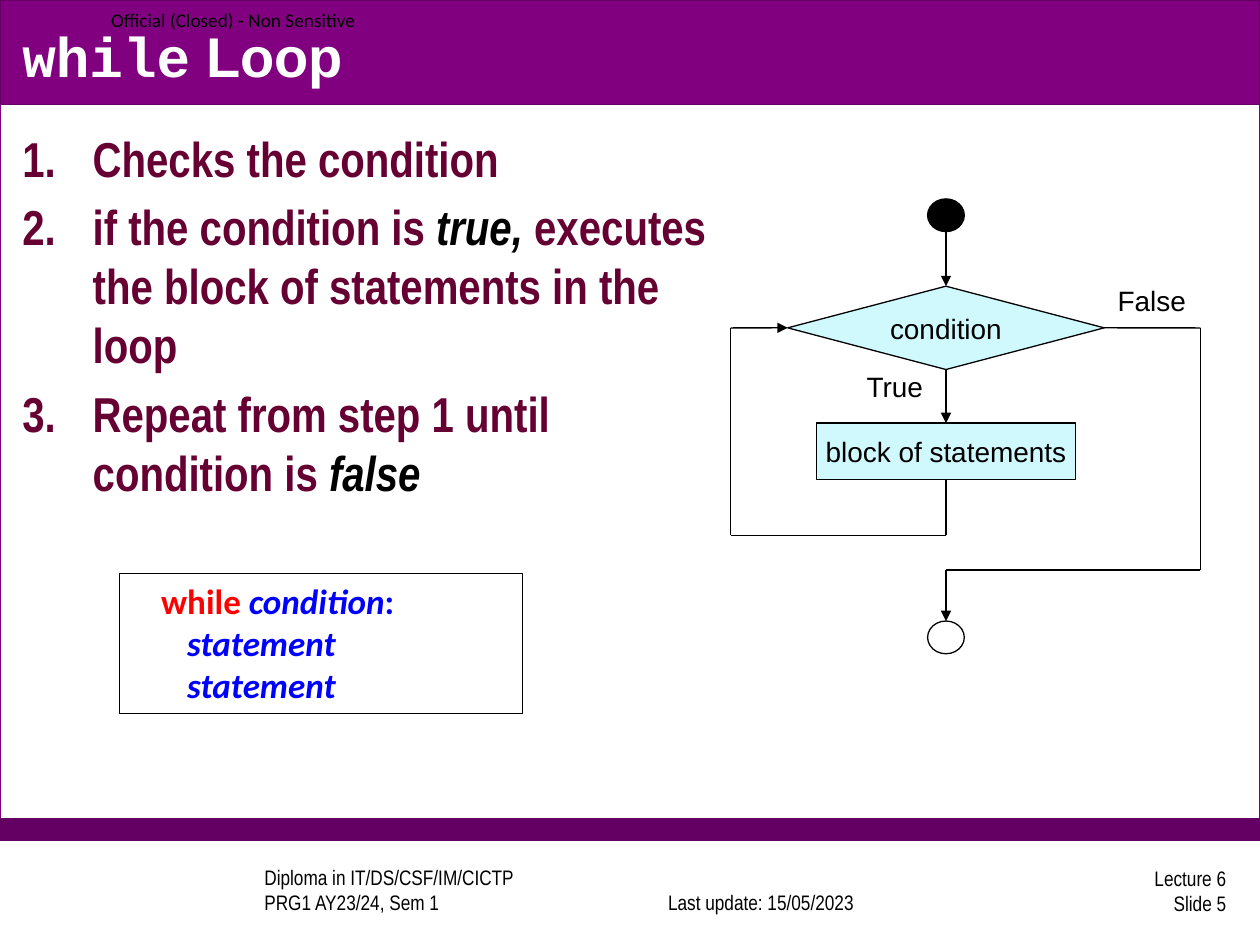
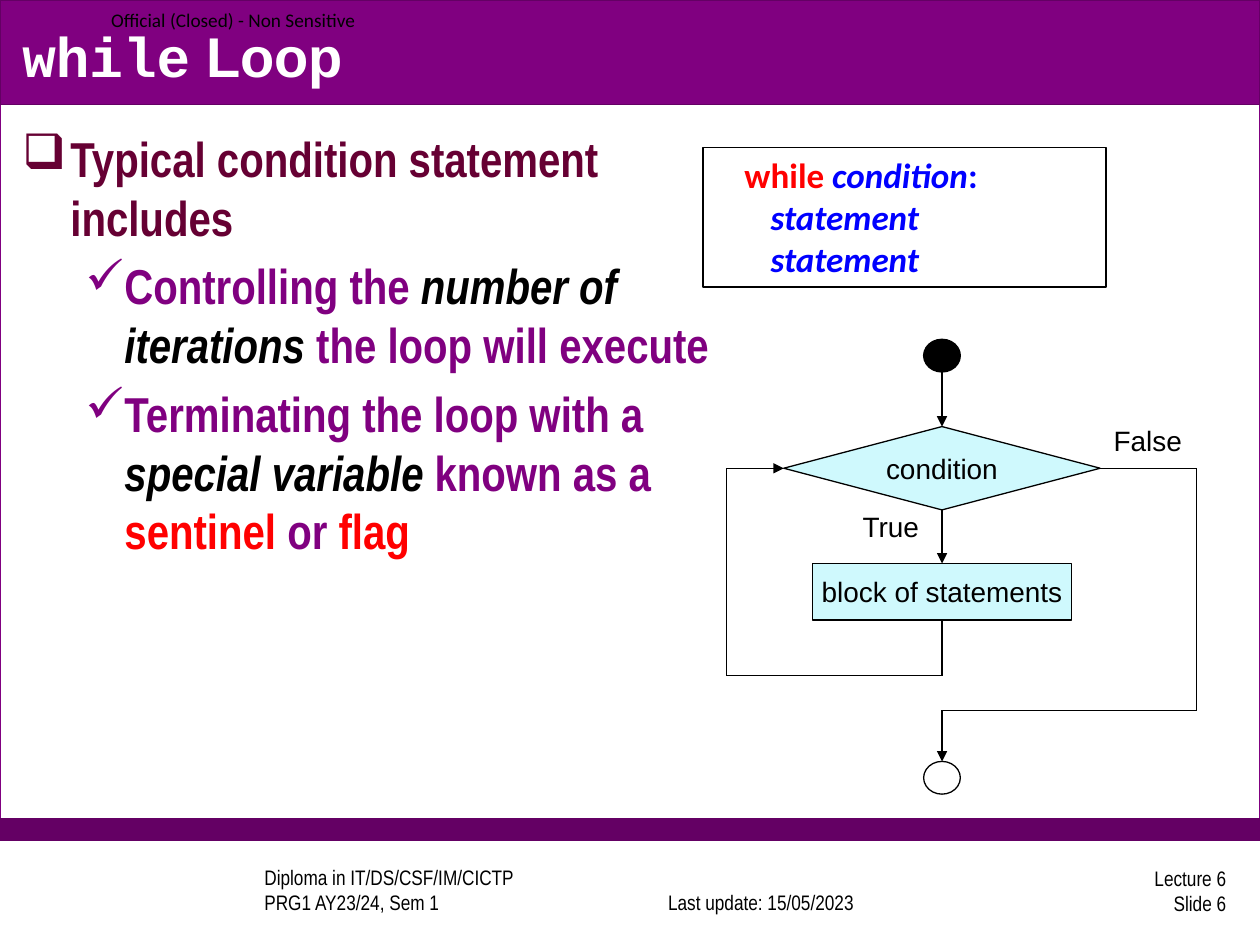
from lxml import etree
from pptx import Presentation
from pptx.dml.color import RGBColor
from pptx.enum.shapes import MSO_CONNECTOR, MSO_SHAPE
from pptx.enum.text import MSO_ANCHOR, PP_ALIGN
from pptx.oxml.ns import qn
from pptx.util import Cm, Pt

RECTANGLE = MSO_SHAPE.RECTANGLE
CIRCLE = MSO_SHAPE.FLOWCHART_CONNECTOR
PROCESS = MSO_SHAPE.FLOWCHART_PROCESS
DECISION = MSO_SHAPE.FLOWCHART_DECISION
STRAIGHT = MSO_CONNECTOR.STRAIGHT
LEFT, CENTER, RIGHT = PP_ALIGN.LEFT, PP_ALIGN.CENTER, PP_ALIGN.RIGHT
TOP, MIDDLE, BOTTOM = MSO_ANCHOR.TOP, MSO_ANCHOR.MIDDLE, MSO_ANCHOR.BOTTOM

BLACK, WHITE, RED, BLUE = "000000", "FFFFFF", "FF0000", "0000FF"
PURPLE, DARK_PURPLE, MAROON, PALE_BLUE = "800080", "640064", "660033", "CFF9FD"

# font, size, colour, bold, italic
STYLES = {
    "title code": ("Courier New", 32, WHITE, True, False),
    "title": ("Arial", 32, WHITE, True, False),
    "marking": ("Calibri", 11, BLACK, False, False),
    "footer": ("Arial Narrow", 12, BLACK, False, False),
    "point": ("Arial Narrow", 28, MAROON, True, False),
    "subpoint": ("Arial Narrow", 28, PURPLE, True, False),
    "emphasis": ("Arial Narrow", 28, BLACK, True, True),
    "alert": ("Arial Narrow", 28, RED, True, False),
    "code indent": ("Arial", 20, RED, False, False),
    "keyword": ("Calibri", 20, RED, True, False),
    "variable": ("Calibri", 20, BLUE, True, True),
    "symbol": ("Calibri", 20, BLUE, True, False),
    "diagram": ("Arial", 16, BLACK, False, False),
}

NUMBER = ("buAutoNum", "type", "arabicPeriod", 1.42, 1.42)
SQUARE = ("buChar", "char", "❑", 0.97, 0.97)
CHECK = ("buChar", "char", "✓", 2.06, 0.79)

CODE = [
    [("   ", "code indent"), ("while ", "keyword"), ("condition", "variable"), (":", "symbol")],
    [("       statement", "variable")],
    [("       statement", "variable")],
]

SLIDES = [
    {
        "number": 5,
        "code at": (2.41, 11.56),
        "diagram offset": (0, 0),
        "body": [
            (NUMBER, [("Checks the condition", "point")]),
            (NUMBER, [("if the condition is ", "point"), ("true, ", "emphasis"),
                      ("executes the block of statements in the loop", "point")]),
            (NUMBER, [("Repeat from step 1 until condition is ", "point"), ("false", "emphasis")]),
        ],
    },
    {
        "number": 6,
        "code at": (14.17, 2.97),
        "diagram offset": (-0.08, 2.83),
        "body": [
            (SQUARE, [("Typical condition statement includes", "point")]),
            (CHECK, [("Controlling the ", "subpoint"), ("number of iterations", "emphasis"),
                     (" the loop will execute", "subpoint")]),
            (CHECK, [("Terminating the loop with a ", "subpoint"), ("special variable", "emphasis"),
                     (" known as a ", "subpoint"), ("sentinel ", "alert"), ("or", "subpoint"),
                     (" flag", "alert")]),
        ],
    },
]

AXIS, LOOP_X, EXIT_X = 19.07, 14.73, 24.2
CONDITION_Y, LOOP_Y, EXIT_Y = 6.61, 10.79, 11.49

NODES = {
    "start": (CIRCLE, 4.01, 0.74, 0.66, BLACK, None),
    "condition": (DECISION, 5.77, 6.38, 1.68, PALE_BLUE, "condition"),
    "block": (PROCESS, 8.53, 5.21, 1.14, PALE_BLUE, "block of statements"),
    "end": (CIRCLE, 12.52, 0.74, 0.66, WHITE, None),
}

# from, to, begin join, end join, arrowhead
LINES = [
    ((AXIS, 4.67), (AXIS, 5.77), None, ("condition", 0), True),
    ((AXIS, 7.45), (AXIS, 8.53), ("condition", 2), ("block", 0), True),
    ((AXIS, 9.67), (AXIS, LOOP_Y), ("block", 2), None, False),
    ((AXIS, LOOP_Y), (LOOP_X, LOOP_Y), None, None, False),
    ((LOOP_X, LOOP_Y), (LOOP_X, CONDITION_Y), None, None, False),
    ((LOOP_X, CONDITION_Y), (15.88, CONDITION_Y), None, ("condition", 1), True),
    ((22.26, CONDITION_Y), (EXIT_X, CONDITION_Y), ("condition", 3), None, False),
    ((EXIT_X, CONDITION_Y), (EXIT_X, EXIT_Y), None, None, False),
    ((EXIT_X, EXIT_Y), (AXIS, EXIT_Y), None, None, False),
    ((AXIS, EXIT_Y), (AXIS, 12.52), None, None, True),
]

LABELS = [("False", 22.28, 5.59), ("True", 17.22, 7.32)]


def add_box(slide, kind, left, top, width, height, fill, line):
    shape = slide.shapes.add_shape(kind, Cm(left), Cm(top), Cm(width), Cm(height))
    shape.shadow.inherit = False
    shape.fill.solid()
    shape.fill.fore_color.rgb = RGBColor.from_string(fill)
    shape.line.color.rgb = RGBColor.from_string(line)
    shape.line.width = Pt(0.75)
    return shape


def write(shape, paragraphs, align=LEFT, anchor=TOP, left=0.25, right=0.25):
    frame = shape.text_frame
    frame.word_wrap = True
    frame.vertical_anchor = anchor
    frame.margin_left, frame.margin_right = Cm(left), Cm(right)
    for index, runs in enumerate(paragraphs):
        paragraph = frame.add_paragraph() if index else frame.paragraphs[0]
        paragraph.alignment = align
        for text, style in runs:
            run = paragraph.add_run()
            run.text = text
            name, size, color, bold, italic = STYLES[style]
            run.font.name, run.font.size = name, Pt(size)
            run.font.bold, run.font.italic = bold, italic
            run.font.color.rgb = RGBColor.from_string(color)


presentation = Presentation()
presentation.slide_width, presentation.slide_height = Cm(25.4), Cm(19.05)

for content in SLIDES:
    slide = presentation.slides.add_slide(presentation.slide_layouts[6])

    add_box(slide, RECTANGLE, 0, 0, 25.4, 16.94, WHITE, PURPLE)
    add_box(slide, RECTANGLE, 0, 16.51, 25.4, 0.43, DARK_PURPLE, DARK_PURPLE)
    add_box(slide, RECTANGLE, 0, 0, 25.4, 2.11, PURPLE, DARK_PURPLE)

    body = [runs for bullet, runs in content["body"]]
    course = [[("Diploma in IT/DS/CSF/IM/CICTP", "footer")], [("PRG1 AY23/24, Sem 1", "footer")]]
    lecture = [[("Lecture 6", "footer")], [(f"Slide {content['number']}", "footer")]]
    texts = [
        ((3.81, 17.5, 8.05, 1.07), course, LEFT, BOTTOM, 1.52),
        ((12.7, 17.5, 5.28, 1.07), [[("Last update: 15/05/2023", "footer")]], CENTER, BOTTOM, 0.25),
        ((19.69, 17.42, 5.28, 1.07), lecture, RIGHT, MIDDLE, 0.25),
        ((0, 0, 7.65, 0.79), [[("Official (Closed) - Non Sensitive", "marking")]], LEFT, MIDDLE, 2.24),
        ((0.2, 0.33, 24.97, 1.57), [[("while", "title code"), (" Loop", "title")]], LEFT, MIDDLE, 0.25),
        ((0.2, 2.46, 14.38, 13.84), body, LEFT, TOP, 0.25),
    ]
    for place, paragraphs, align, anchor, margin in texts:
        text_box = slide.shapes.add_textbox(*[Cm(length) for length in place])
        write(text_box, paragraphs, align, anchor, margin, 0.25 if margin < 2 else 0)

    for index, paragraph in enumerate(text_box.text_frame.paragraphs):
        tag, attribute, value, indent, hanging = content["body"][index][0]
        properties = paragraph._p.get_or_add_pPr()
        properties.set("marL", str(Cm(indent)))
        properties.set("indent", str(-Cm(hanging)))
        etree.SubElement(properties, qn(f"a:{tag}")).set(attribute, value)
        if index:
            paragraph.space_before = Pt(5.6)

    code_box = add_box(slide, RECTANGLE, *content["code at"], 8.13, 2.82, WHITE, BLACK)
    write(code_box, CODE)

    shift_x, shift_y = content["diagram offset"]
    nodes = {}
    for name, (kind, top, width, height, fill, text) in NODES.items():
        left = AXIS - width / 2 + shift_x
        nodes[name] = add_box(slide, kind, left, top + shift_y, width, height, fill, BLACK)
        if text:
            write(nodes[name], [[(text, "diagram")]], CENTER, MIDDLE, 0, 0)

    for start, finish, begin_join, end_join, arrow in LINES:
        connector = slide.shapes.add_connector(
            STRAIGHT, Cm(start[0] + shift_x), Cm(start[1] + shift_y),
            Cm(finish[0] + shift_x), Cm(finish[1] + shift_y))
        connector.line.color.rgb = RGBColor.from_string(BLACK)
        connector.line.width = Pt(0.75)
        if begin_join:
            connector.begin_connect(nodes[begin_join[0]], begin_join[1])
        if end_join:
            connector.end_connect(nodes[end_join[0]], end_join[1])
        properties = connector.element.spPr
        if arrow:
            etree.SubElement(properties.find(qn("a:ln")), qn("a:tailEnd")).set("type", "triangle")
        etree.SubElement(properties, qn("a:effectLst"))

    for text, left, top in LABELS:
        label = slide.shapes.add_textbox(Cm(left + shift_x), Cm(top + shift_y), Cm(1.91), Cm(1))
        write(label, [[(text, "diagram")]])

presentation.save("out.pptx")
